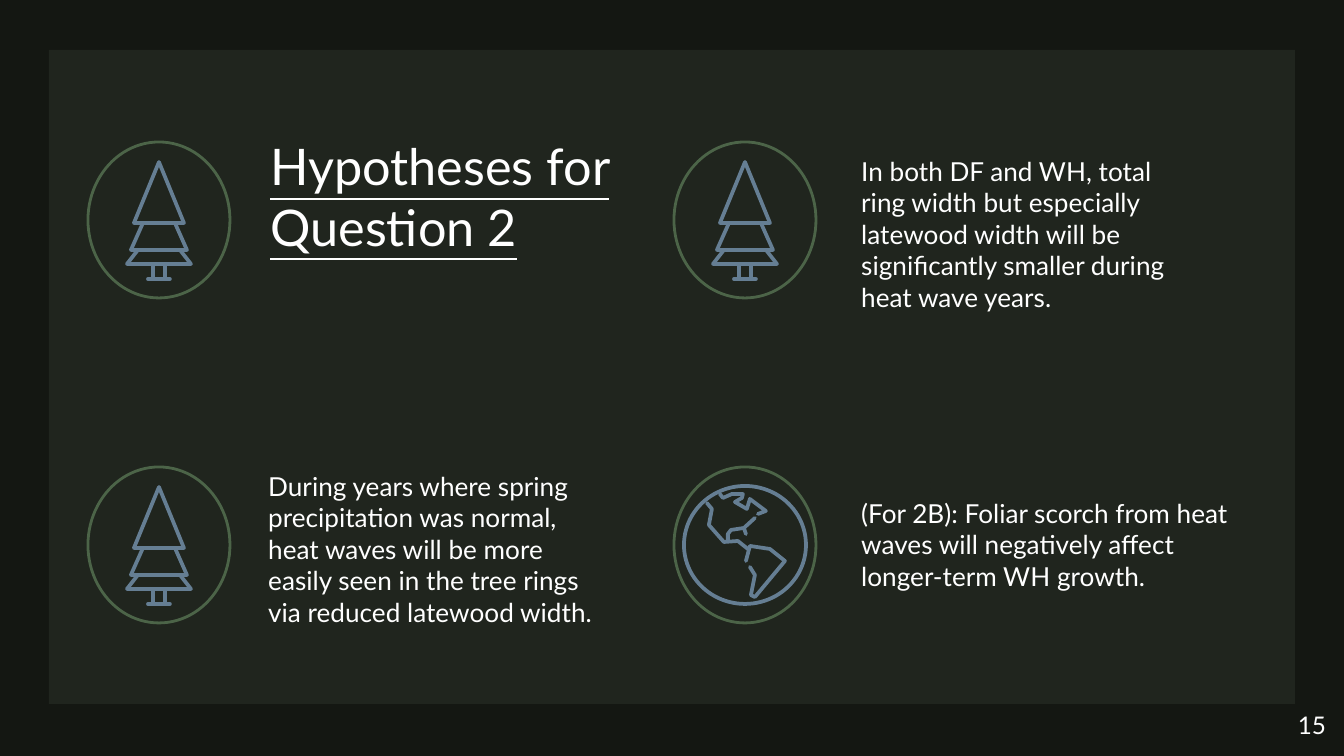
from dataclasses import dataclass

from lxml.etree import SubElement
from pptx import Presentation
from pptx.dml.color import RGBColor
from pptx.enum.shapes import MSO_SHAPE
from pptx.enum.text import MSO_ANCHOR, PP_ALIGN
from pptx.oxml.ns import qn
from pptx.util import Pt

PX = 914400 / 134.4


@dataclass(frozen=True)
class Theme:
    font: str = "Lato"
    background: str = "141712"
    panel: str = "20251E"
    ring: str = "4C6448"
    icon: str = "657E93"
    text: str = "FFFFFF"
    title_size: int = 27
    body_size: int = 14
    number_size: int = 13
    ring_width: float = 1.5
    icon_width: float = 2


THEME = Theme()

TITLE = ("Hypotheses for Question 2", (257, 122, 417, 175))
HYPOTHESES = [
    ("In both DF and WH, total ring width but especially latewood width "
     "will be significantly smaller during heat wave years.", (848, 142, 366, 175)),
    ("During years where spring precipitation was normal, heat waves will be more "
     "easily seen in the tree rings via reduced latewood width.", (255, 457, 366, 190)),
    ("(For 2B): Foliar scorch from heat waves will negatively affect "
     "longer-term WH growth.", (848, 484, 409, 134)),
]
SLIDE_NUMBER = ("15", (1258, 697, 81, 58))
PANEL = (49, 50, 1246, 654)

ICON_GRID = [["tree", "tree"], ["tree", "globe"]]
COLUMN_CENTRES = [159, 745]
ROW_CENTRES = [220, 545]
RING_RADII = (71, 78)

TIERS = [
    dict(top=-58, base=3, half_top=0, half_base=25, gap=(-5, 12), dash=(3, 5)),
    dict(top=3, base=30, half_top=16, half_base=28, gap=(-1, 19), dash=(9, 11)),
    dict(top=30, base=44, half_top=21, half_base=32, gap=(0, 0), dash=None),
]
TRUNK = dict(top=44, base=59, half_width=6, half_foot=11)

GLOBE_RADII = (61, 59)
COASTS = {
    "pacific": [(-38, -42), (-33, -36), (-36, -20), (-21, -3), (-7, -4), (3, 4)],
    "gulf": [(-17, -4), (-17, -11), (-14, -15), (-1, -17), (10, -27)],
    "florida": [(-1, -17), (1, -11)],
    "arctic": [(-25, -51), (-22, -47), (-13, -51), (-2, -51), (-3, -47),
               (-10, -43), (2, -36), (5, -46), (21, -34), (13, -31)],
    "south_america": [(1, 16), (5, 1), (25, 4), (40, 16), (10, 52),
                      (6, 50), (10, 30), (5, 22)],
}


def px(*lengths):
    return [round(length * PX) for length in lengths]


def rgb(colour):
    return RGBColor.from_string(colour)


def write(box, words, size, align=PP_ALIGN.LEFT, underline=None):
    frame = box.text_frame
    frame.word_wrap = True
    frame.vertical_anchor = MSO_ANCHOR.TOP
    frame.margin_left = frame.margin_right = 91440
    frame.margin_top = frame.margin_bottom = 91440
    paragraph = frame.paragraphs[0]
    paragraph.text = words
    paragraph.alignment = align
    font = paragraph.font
    font.name, font.size, font.underline = THEME.font, Pt(size), underline
    font.color.rgb = rgb(THEME.text)


def add_text(shapes, words, place, size, align=PP_ALIGN.LEFT):
    write(shapes.add_textbox(*px(*place)), words, size, align)


def stroke(shape, colour, width):
    shape.shadow.inherit = False
    shape.fill.background()
    shape.line.color.rgb = rgb(colour)
    shape.line.width = Pt(width)


def add_oval(shapes, centre, radii, colour, width):
    (x, y), (across, down) = centre, radii
    place = px(x - across, y - down, 2 * across, 2 * down)
    stroke(shapes.add_shape(MSO_SHAPE.OVAL, *place), colour, width)


def add_strokes(shapes, centre, strokes):
    builder = shapes.build_freeform(*strokes[0][0], scale=PX)
    for points in strokes:
        builder.move_to(*points[0])
        builder.add_line_segments(points[1:], close=False)
    drawing = builder.convert_to_shape(*px(*centre))
    stroke(drawing, THEME.icon, THEME.icon_width)
    outline = drawing.line._get_or_add_ln()
    outline.set("cap", "rnd")
    SubElement(outline, qn("a:round"))


def tier_strokes(top, base, half_top, half_base, gap, dash):
    gap_left, gap_right = gap
    yield [(gap_right, base), (half_base, base), (half_top, top),
           (-half_top, top), (-half_base, base), (gap_left, base)]
    if dash:
        yield [(x, base) for x in dash]


def trunk_strokes(top, base, half_width, half_foot):
    for x in (-half_width, half_width):
        yield [(x, top), (x, base)]
    yield [(-half_foot, base), (half_foot, base)]


def add_tree(shapes, centre):
    tiers = [points for tier in TIERS for points in tier_strokes(**tier)]
    add_strokes(shapes, centre, tiers + list(trunk_strokes(**TRUNK)))


def add_globe(shapes, centre):
    globe = shapes.add_group_shape()
    add_oval(globe.shapes, centre, GLOBE_RADII, THEME.icon, THEME.icon_width)
    add_strokes(globe.shapes, centre, list(COASTS.values()))


ICONS = {"tree": add_tree, "globe": add_globe}


def main():
    deck = Presentation()
    deck.slide_width, deck.slide_height = px(1344, 756)
    slide = deck.slides.add_slide(deck.slide_layouts[5])
    slide.background.fill.solid()
    slide.background.fill.fore_color.rgb = rgb(THEME.background)
    shapes = slide.shapes

    panel = shapes.add_shape(MSO_SHAPE.RECTANGLE, *px(*PANEL))
    panel.shadow.inherit = False
    panel.fill.solid()
    panel.fill.fore_color.rgb = rgb(THEME.panel)
    panel.line.fill.background()

    title = shapes.title
    panel._element.addnext(title._element)
    words, place = TITLE
    title.left, title.top, title.width, title.height = px(*place)
    write(title, words, THEME.title_size, underline=True)

    for words, place in HYPOTHESES:
        add_text(shapes, words, place, THEME.body_size)
    add_text(shapes, *SLIDE_NUMBER, THEME.number_size, PP_ALIGN.RIGHT)

    for y, icon_row in zip(ROW_CENTRES, ICON_GRID):
        for x, icon in zip(COLUMN_CENTRES, icon_row):
            add_oval(shapes, (x, y), RING_RADII, THEME.ring, THEME.ring_width)
            ICONS[icon](shapes, (x, y))

    deck.save("out.pptx")


if __name__ == "__main__":
    main()
